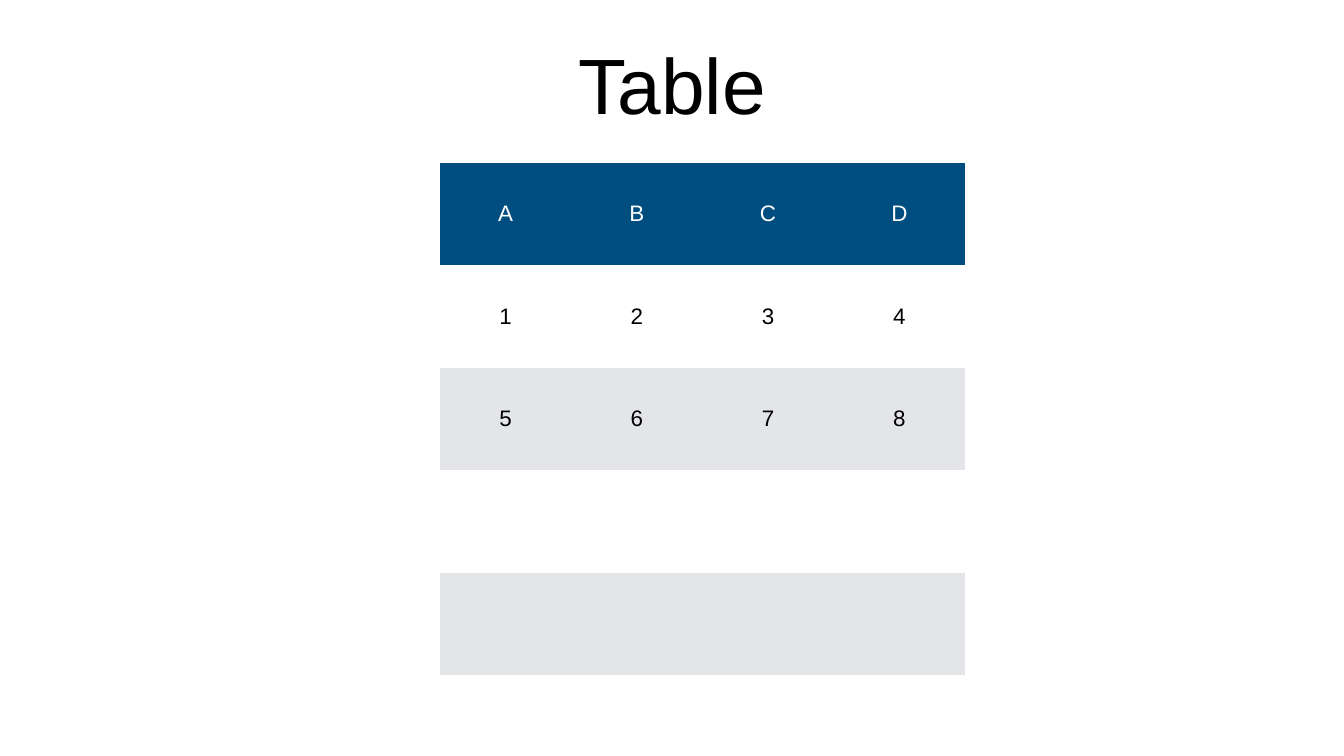
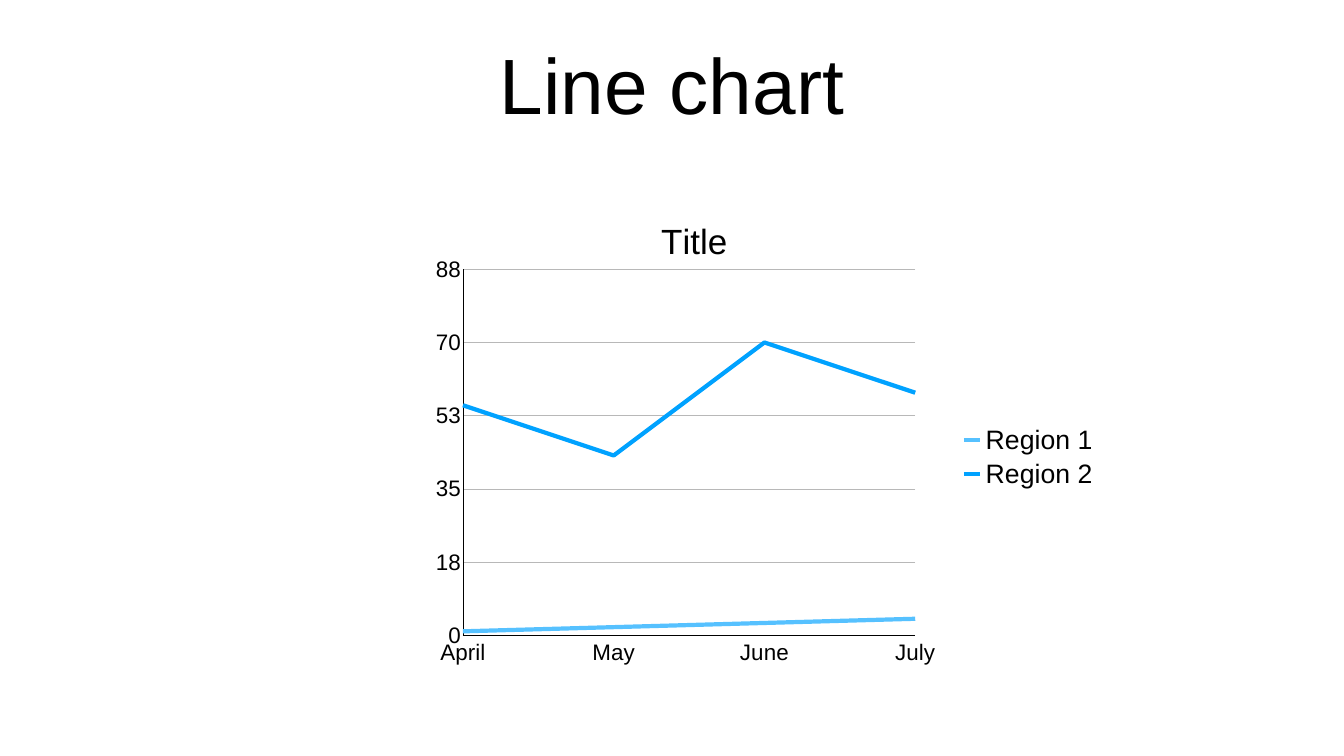
"""Build a two-slide deck with a banded table and a line chart."""
from dataclasses import dataclass
from typing import Any

import lxml.etree
import pptx
import pptx.chart.data
import pptx.dml.color
import pptx.enum.chart
import pptx.enum.text
import pptx.oxml.ns
import pptx.util

Inches = pptx.util.Inches
Pt = pptx.util.Pt
RGB = pptx.dml.color.RGBColor
qn = pptx.oxml.ns.qn

BLACK = RGB(0x00, 0x00, 0x00)
WHITE = RGB(0xFF, 0xFF, 0xFF)
NAVY = RGB(0x00, 0x4D, 0x80)
BAND = RGB(0xE3, 0xE5, 0xE8)
GRID = RGB(0xB8, 0xB8, 0xB8)
FONT = "Arial"
INSET = Inches(0.06)
MARGINS = {f"margin_{side}": INSET for side in ("left", "top", "right", "bottom")}
MIDDLE = pptx.enum.text.MSO_ANCHOR.MIDDLE
CENTER = pptx.enum.text.PP_ALIGN.CENTER
NO_GRID_STYLE = "{2D5ABB26-0587-4C30-8999-92F81FD0307C}"


@dataclass(frozen=True)
class Box:
    """Left, top, width and height in inches, or as fractions of a chart."""
    left: float
    top: float
    width: float
    height: float

    def emu(self) -> list[int]:
        """Return the four lengths for placing a shape."""
        return [Inches(v) for v in (self.left, self.top, self.width, self.height)]


@dataclass(frozen=True)
class Series:
    """One line of the chart."""
    name: str
    values: tuple[int, ...]
    color: RGB


TITLE_BOX = Box(1.85, 0.39, 22.97, 2.5)
TABLE_BOX = Box(8.73, 3.23, 10.42, 10.17)
CHART_BOX = Box(8.37, 4.02, 13.6, 9.44)
ROWS = ["ABCD", "1234", "5678", "", ""]
MONTHS = ["April", "May", "June", "July"]
REGIONS = [
    Series("Region 1", (1, 2, 3, 4), RGB(0x56, 0xC1, 0xFF)),
    Series("Region 2", (55, 43, 70, 58), RGB(0x00, 0xA2, 0xFF)),
]


def set_all(obj: Any, values: dict[str, Any]) -> None:
    """Set each named attribute of an object."""
    for name, value in values.items():
        setattr(obj, name, value)


def set_font(font: Any, size: float, color: RGB = BLACK) -> None:
    """Apply the deck's typeface with a size and colour."""
    set_all(font, {"name": FONT, "size": Pt(size), "bold": False})
    font.color.rgb = color


def set_line(line: Any, color: RGB, width: float) -> None:
    """Give a line its colour and width in points."""
    line.color.rgb = color
    line.width = Pt(width)


def add_slide(prs: Any, title: str) -> Any:
    """Add a title-only slide with the shared title style."""
    s = prs.slides.add_slide(prs.slide_layouts[5])
    sp = s.shapes.title
    set_all(sp, dict(zip(("left", "top", "width", "height"), TITLE_BOX.emu())))
    tf = sp.text_frame
    set_all(tf, {"word_wrap": True, "vertical_anchor": MIDDLE, **MARGINS})
    p = tf.paragraphs[0]
    p.alignment = CENTER
    r = p.add_run()
    r.text = title
    set_font(r.font, 112)
    return s


def add_table(s: Any, rows: list[str], box: Box) -> None:
    """Draw a table with a navy header and alternating bands."""
    table = s.shapes.add_table(len(rows), len(rows[0]), *box.emu()).table
    table._tbl.tblPr.find(qn("a:tableStyleId")).text = NO_GRID_STYLE
    for i, row in enumerate(table.rows):
        fill = NAVY if i == 0 else WHITE if i % 2 else BAND
        for j, cell in enumerate(row.cells):
            cell.fill.solid()
            cell.fill.fore_color.rgb = fill
            set_all(cell, {"vertical_anchor": MIDDLE, **MARGINS})
            if rows[i]:
                p = cell.text_frame.paragraphs[0]
                p.alignment = CENTER
                r = p.add_run()
                r.text = rows[i][j]
                set_font(r.font, 32, WHITE if i == 0 else BLACK)


def place_part(parent: Any, index: int, box: Box, inner: bool = False,
               sized: bool = True) -> None:
    """Fix the place of a chart part by fractions of the chart."""
    for old in parent.findall(qn("c:layout")):
        parent.remove(old)
    layout = lxml.etree.Element(qn("c:layout"))
    manual = lxml.etree.SubElement(layout, qn("c:manualLayout"))
    values = {"xMode": "edge", "yMode": "edge", "x": box.left, "y": box.top}
    if inner:
        values = {"layoutTarget": "inner", **values}
    if sized:
        values |= {"w": box.width, "h": box.height}
    for tag, value in values.items():
        lxml.etree.SubElement(manual, qn(f"c:{tag}"), val=str(value))
    parent.insert(index, layout)


def set_option(parent: Any, tag: str, value: str, after: str) -> None:
    """Set a chart option that follows the named sibling."""
    for old in parent.findall(qn(tag)):
        parent.remove(old)
    option = lxml.etree.Element(qn(tag), val=value)
    parent.find(qn(after)).addnext(option)


def format_axis(axis: Any, number_format: str) -> None:
    """Style an axis with black text and line and no ticks."""
    no_tick = pptx.enum.chart.XL_TICK_MARK.NONE
    set_all(axis, {"major_tick_mark": no_tick, "minor_tick_mark": no_tick})
    set_all(axis.tick_labels, {"number_format": number_format,
                               "number_format_is_linked": False})
    set_font(axis.tick_labels.font, 32)
    set_line(axis.format.line, BLACK, 1)


def add_line_chart(s: Any, title: str, box: Box) -> None:
    """Draw the line chart with its title, axes and legend."""
    data = pptx.chart.data.CategoryChartData()
    data.categories = MONTHS
    for region in REGIONS:
        data.add_series(region.name, region.values)
    kind = pptx.enum.chart.XL_CHART_TYPE.LINE
    chart = s.shapes.add_chart(kind, *box.emu(), data).chart
    set_font(chart.font, 10)

    chart.has_title = True
    tf = chart.chart_title.text_frame
    tf.text = title
    set_font(tf.paragraphs[0].runs[0].font, 50)
    chart_title = chart.chart_title._element
    place_part(chart_title, 1, Box(0.34, 0.02, 0.1, 0.1), sized=False)
    set_option(chart_title, "c:overlay", "1", after="c:layout")

    format_axis(chart.category_axis, "General")
    chart.category_axis.tick_label_position = pptx.enum.chart.XL_TICK_LABEL_POSITION.LOW
    axis = chart.value_axis
    format_axis(axis, "0")
    set_all(axis, {"minimum_scale": 0, "maximum_scale": 87.5, "major_unit": 17.5,
                   "has_major_gridlines": True})
    set_line(axis.major_gridlines.format.line, GRID, 1)
    set_option(axis._element, "c:crossBetween", "midCat", after="c:crosses")

    chart.has_legend = True
    set_all(chart.legend, {"position": pptx.enum.chart.XL_LEGEND_POSITION.RIGHT,
                           "include_in_layout": True})
    set_font(chart.legend.font, 38)
    place_part(chart.legend._element, 1, Box(0.77, 0.46, 0.23, 0.15))

    plot = chart.plots[0]
    plot.vary_by_categories = False
    for series, region in zip(plot.series, REGIONS):
        series.smooth = False
        series.marker.style = pptx.enum.chart.XL_MARKER_STYLE.NONE
        set_line(series.format.line, region.color, 6)
    plot_area = chart._chartSpace.chart.plotArea
    place_part(plot_area, 0, Box(0.06, 0.14, 0.66, 0.77), inner=True)


def main() -> None:
    """Build and save the deck."""
    prs = pptx.Presentation()
    set_all(prs, {"slide_width": Inches(26.67), "slide_height": Inches(15)})
    add_table(add_slide(prs, "Table"), ROWS, TABLE_BOX)
    add_line_chart(add_slide(prs, "Line chart"), "Title", CHART_BOX)
    prs.save("out.pptx")


main()
